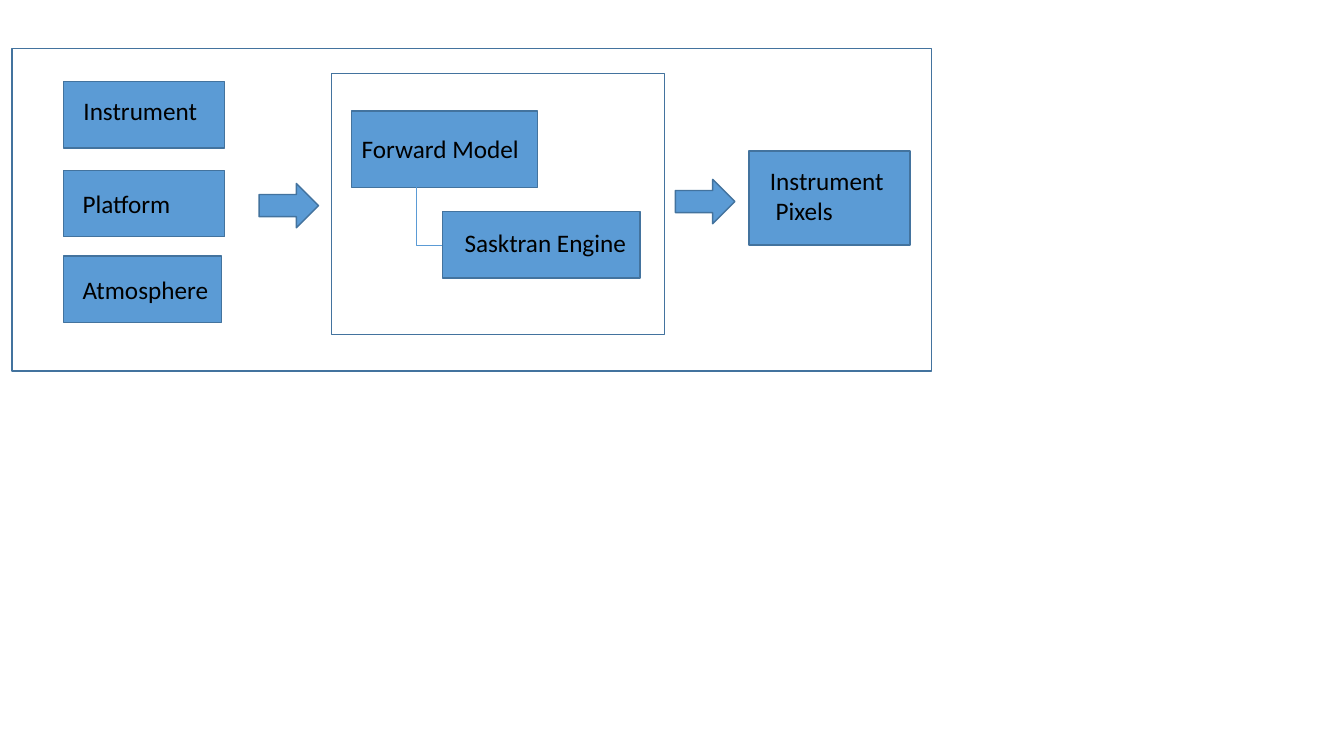
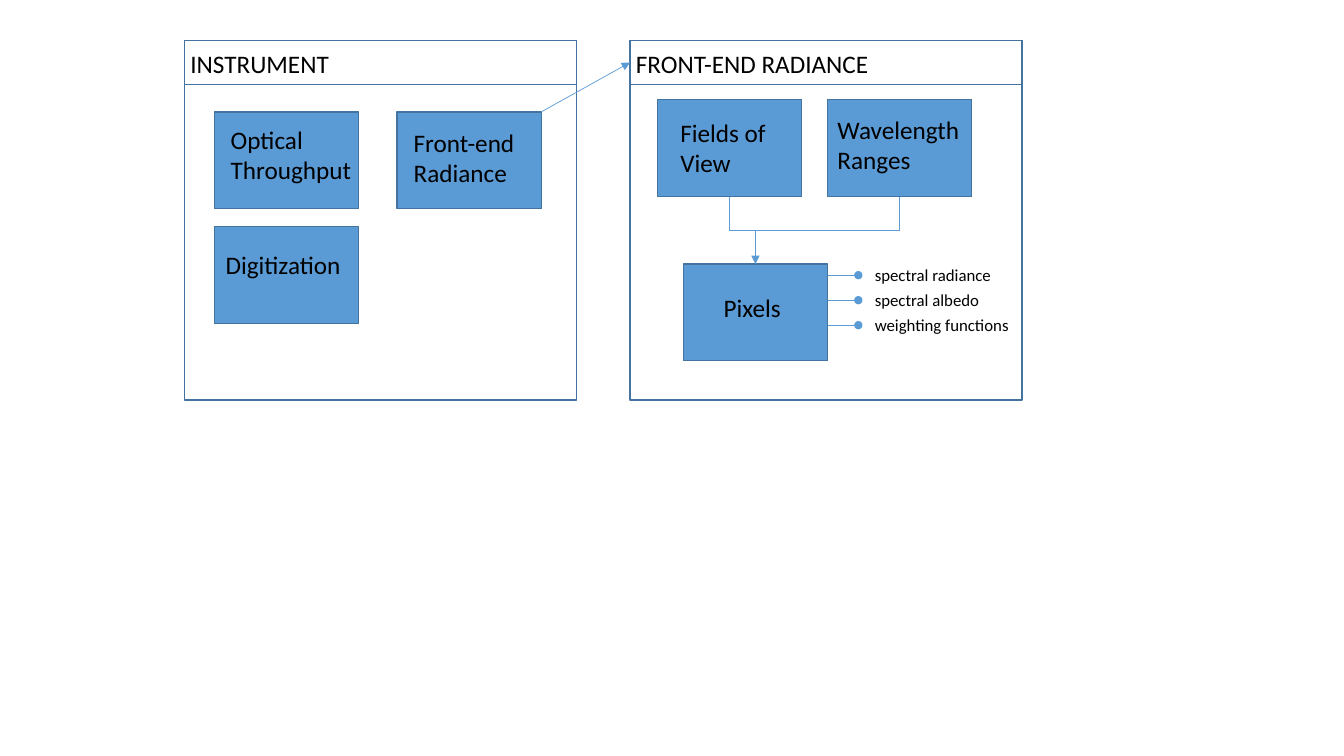
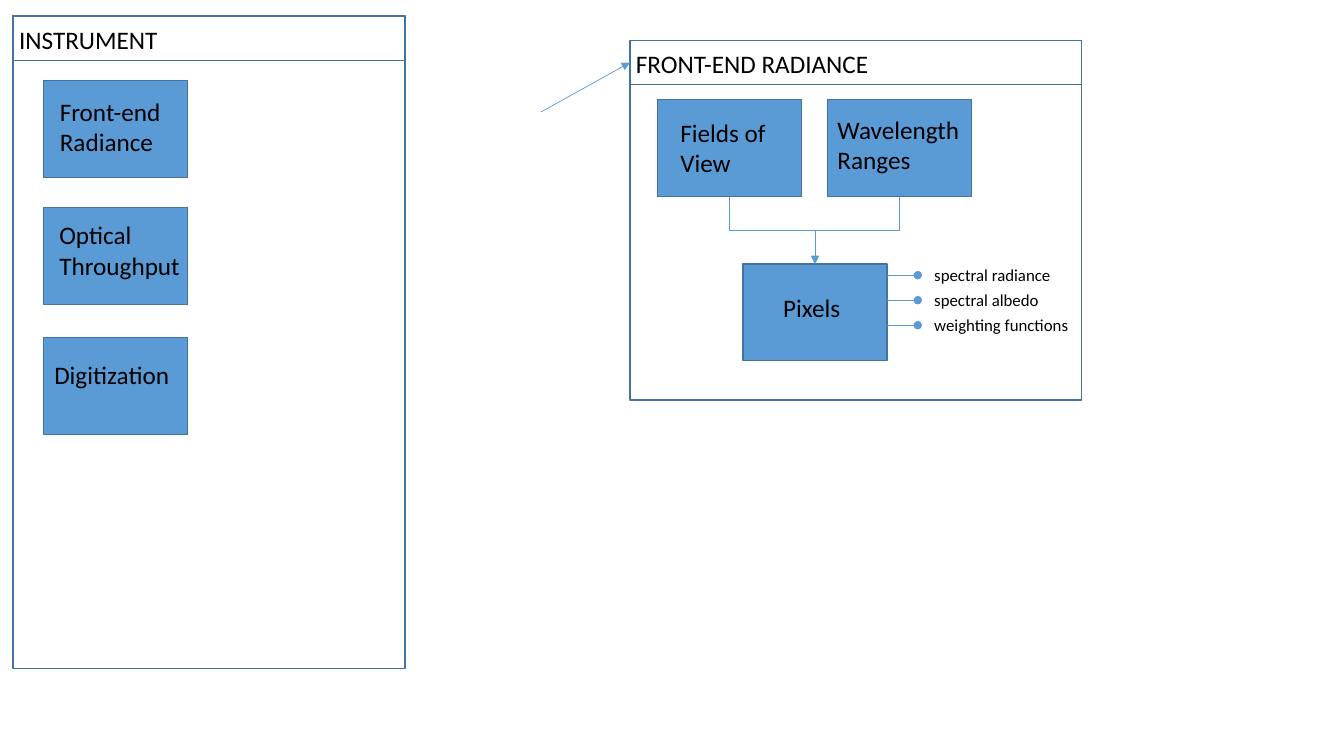
from collections import namedtuple

from lxml.etree import SubElement
from pptx import Presentation
from pptx.dml.color import RGBColor
from pptx.enum.shapes import MSO_CONNECTOR as Link, MSO_SHAPE as Preset
from pptx.enum.text import MSO_AUTO_SIZE as AutoSize
from pptx.oxml.ns import qn
from pptx.util import Inches, Pt

CELL = 0.1
COLUMNS, ROWS = 133.33, 75
FONT = "Calibri"
BLUE, EDGE, BLACK = "5B9BD5", "43739E", "000000"
BLOCK_W, BLOCK_H = 14.3, 9.6
HEADER_H = 4.4
LABEL_H = {1: 4, 2: 7.1}


class Box(namedtuple("Box", "left top width height")):
    def inside(self, column, row, width, height):
        return Box(self.left + column, self.top + row, width, height)

    @property
    def right(self):
        return self.left + self.width

    @property
    def bottom(self):
        return self.top + self.height

    @property
    def center(self):
        return self.left + self.width / 2


Caption = namedtuple("Caption", "text column row width lines")

OPTICAL = Caption("Optical Throughput", 0.6, 0.7, 14.2, 2)
DIGITIZATION = Caption("Digitization", 0.1, 1.7, 14.7, 1)
FRONT_END = Caption("Front-end Radiance", 0.65, 1.05, 12.9, 2)
FIELDS = Caption("Fields of View", 1.3, 1.2, 10.8, 2)
WAVELENGTH = Caption("Wavelength Ranges", 0, 0.9, 14.8, 2)
PIXELS = Caption("Pixels", 3, 2.3, 10.8, 1)


def cells(*lengths):
    return [Inches(length * CELL) for length in lengths]


def color(hex_string):
    return RGBColor.from_string(hex_string)


def outline(slide, box, fill=None, preset=Preset.RECTANGLE):
    shape = slide.shapes.add_shape(preset, *cells(*box))
    shape.shadow.inherit = False
    if fill:
        shape.fill.solid()
        shape.fill.fore_color.rgb = color(fill)
    else:
        shape.fill.background()
    shape.line.color.rgb = color(EDGE)
    shape.line.width = Pt(1)


def label(slide, box, text, size=18):
    frame = slide.shapes.add_textbox(*cells(*box)).text_frame
    frame.word_wrap = True
    frame.auto_size = AutoSize.SHAPE_TO_FIT_TEXT
    for index, line in enumerate(text.split("\n")):
        paragraph = frame.paragraphs[0] if index == 0 else frame.add_paragraph()
        run = paragraph.add_run()
        run.text = line
        run.font.name = FONT
        run.font.size = Pt(size)
        run.font.color.rgb = color(BLACK)


def block(slide, box, caption):
    outline(slide, box, BLUE)
    label(slide, box.inside(caption.column, caption.row, caption.width,
                            LABEL_H[caption.lines]), caption.text)


def link(slide, start, end, tail=None, kind=Link.STRAIGHT):
    connector = slide.shapes.add_connector(kind, *cells(*start, *end))
    connector.line.color.rgb = color(BLUE)
    connector.line.width = Pt(0.5)
    if tail:
        SubElement(connector.line._get_or_add_ln(), qn("a:tailEnd"), type=tail)
    SubElement(connector._element.spPr, qn("a:effectLst"))
    return connector


def elbow(slide, start, end, bends, tail=None):
    (x1, y1), (x2, y2) = start, end
    run, drop = abs(x2 - x1), y2 - y1
    left, top = (x1 + x2 - drop) / 2, (y1 + y2 - run) / 2
    connector = link(slide, (left, top), (left + drop, top + run), tail, Link.ELBOW)
    properties = connector._element.spPr
    properties.find(qn("a:prstGeom")).set("prst", f"bentConnector{bends + 1}")
    transform = properties.find(qn("a:xfrm"))
    transform.set("rot", str((270 if x2 > x1 else 90) * 60000))
    if x2 > x1:
        transform.set("flipH", "1")


def inputs(slide, area):
    captions = [
        (0, 16, Caption("Instrument", 1, 0.9, 14, 1)),
        (8.8, 16, Caption("Platform", 0.9, 1.3, 14.2, 1)),
        (17.3, 15.7, Caption("Atmosphere", 0.9, 1.3, 15.1, 1)),
    ]
    for row, width, caption in captions:
        block(slide, area.inside(0, row, width, 6.6), caption)


def model(slide, area):
    forward = area.inside(2, 3.7, 18.4, 7.6)
    engine = area.inside(11, 13.7, 19.6, 6.6)
    outline(slide, area)
    block(slide, forward, Caption("Forward Model", 0, 1.7, 21.8, 1))
    block(slide, engine, Caption("Sasktran Engine", 1.2, 1.1, 19.2, 1))
    elbow(slide, (forward.left + 6.4, forward.bottom),
          (engine.left, engine.top + engine.height / 2), 1)


def overview(slide, area):
    outline(slide, area)
    inputs(slide, area.inside(5.1, 3.3, 16, 23.9))
    model(slide, area.inside(31.7, 2.5, 33, 25.9))
    block(slide, area.inside(63.1 + 10, 10.2, 16, 9.3),
          Caption("Instrument\n Pixels", 1.1, 0.9, 14, 2))
    for column, row in ((24.5, 13.4), (65.8, 13)):
        outline(slide, area.inside(column, row, 5.9, 4.4), BLUE, Preset.RIGHT_ARROW)


def panel(slide, area, title):
    outline(slide, area)
    outline(slide, area.inside(0, 0, area.width, HEADER_H))
    label(slide, area.inside(-0.4, 0.3, 25.5, LABEL_H[1]), title)


def instrument(slide, area, parts):
    panel(slide, area, "INSTRUMENT")
    for caption, column, row in parts:
        block(slide, area.inside(column, row, BLOCK_W, BLOCK_H), caption)


def pixel_outputs(slide, pixels):
    for index, text in enumerate(("spectral radiance", "spectral albedo",
                                  "weighting functions")):
        row = pixels.top + 1.1 + 2.48 * index
        link(slide, (pixels.right, row), (pixels.right + 3.05, row), "oval")
        label(slide, Box(pixels.right + 3.7, row - 1.55, 15.7, 3), text, 12)


def radiance(slide, area):
    panel(slide, area, "FRONT-END RADIANCE")
    fields = area.inside(2.7, 5.9, BLOCK_W, BLOCK_H)
    ranges = area.inside(19.6, 5.9, BLOCK_W, BLOCK_H)
    pixels = area.inside(area.width - 33.6, 22.2, BLOCK_W, BLOCK_H)
    for box, caption in ((fields, FIELDS), (ranges, WAVELENGTH), (pixels, PIXELS)):
        block(slide, box, caption)
    middle = (fields.bottom + pixels.top) / 2
    elbow(slide, (fields.center, fields.bottom), (pixels.center, pixels.top), 2,
          "triangle")
    elbow(slide, (ranges.center, ranges.bottom), (area.left + 12.4, middle), 1)
    pixel_outputs(slide, pixels)
    link(slide, (area.left - 8.8, area.top + 7.1),
         (area.left, area.top + HEADER_H / 2), "triangle")


def main():
    deck = Presentation()
    deck.slide_width, deck.slide_height = cells(COLUMNS, ROWS)
    first, second, third = (deck.slides.add_slide(deck.slide_layouts[6])
                            for _ in range(3))

    overview(first, Box(1.2, 4.8, 91.2, 32))

    instrument(second, Box(18.3, 4, 38.9, 35.7),
               [(OPTICAL, 3, 7.1), (DIGITIZATION, 3, 18.5), (FRONT_END, 21.1, 7.1)])
    radiance(second, Box(62.5, 4, 38.9, 35.7))

    instrument(third, Box(1.3, 1.6, 38.9, 64.7),
               [(FRONT_END, 3, 6.4), (OPTICAL, 3, 19), (DIGITIZATION, 3, 31.9)])
    radiance(third, Box(62.5, 4, 44.8, 35.7))

    deck.save("out.pptx")


if __name__ == "__main__":
    main()
